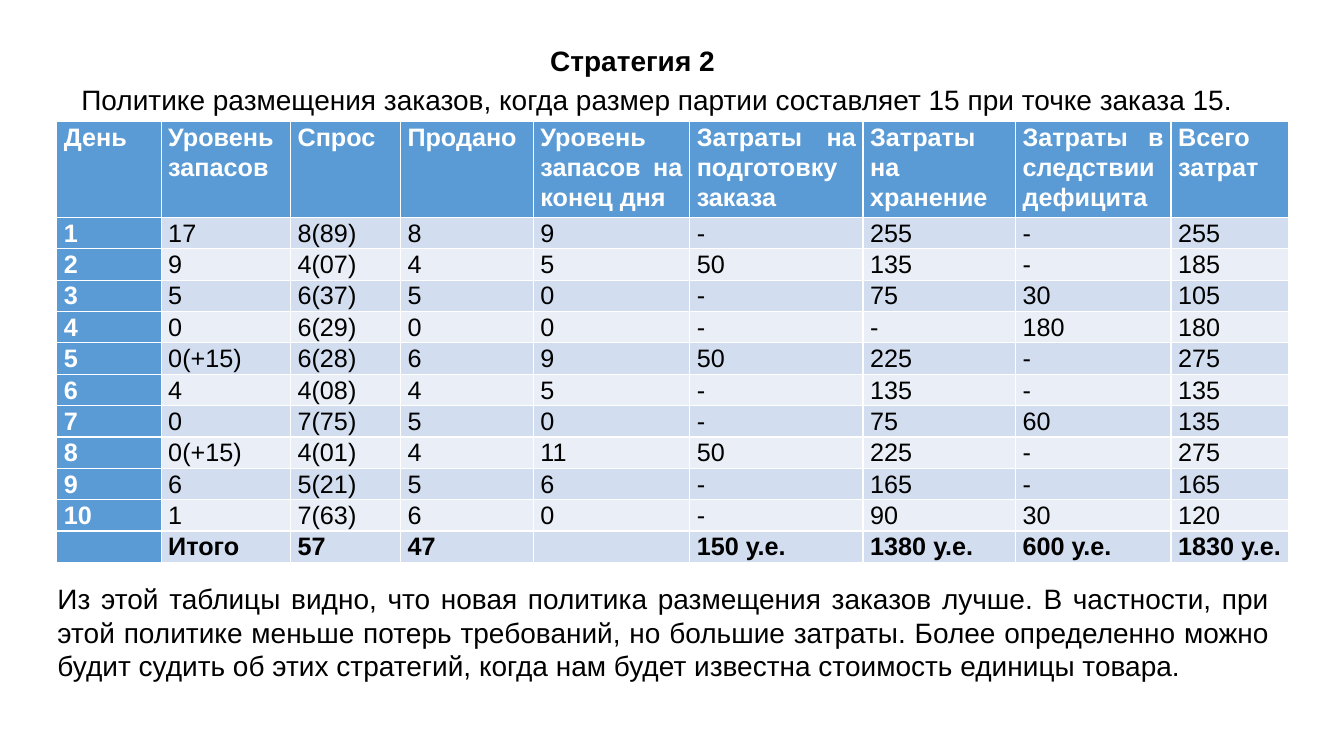
from pptx import Presentation
from pptx.dml.color import RGBColor
from pptx.enum.text import MSO_ANCHOR, PP_ALIGN
from pptx.util import Cm, Pt

COLORS = {"header": "5B9BD5", "odd": "D2DEEF", "even": "EAEFF7",
          "white": "FFFFFF", "black": "000000"}
HEADERS = ["День", "Уровень запасов", "Спрос", "Продано", "Уровень запасов на конец дня",
           "Затраты на подготовку заказа", "Затраты на хранение",
           "Затраты в следствии дефицита", "Всего затрат"]
DAYS = [
    ["1", "17", "8(89)", "8", "9", "-", "255", "-", "255"],
    ["2", "9", "4(07)", "4", "5", "50", "135", "-", "185"],
    ["3", "5", "6(37)", "5", "0", "-", "75", "30", "105"],
    ["4", "0", "6(29)", "0", "0", "-", "-", "180", "180"],
    ["5", "0(+15)", "6(28)", "6", "9", "50", "225", "-", "275"],
    ["6", "4", "4(08)", "4", "5", "-", "135", "-", "135"],
    ["7", "0", "7(75)", "5", "0", "-", "75", "60", "135"],
    ["8", "0(+15)", "4(01)", "4", "11", "50", "225", "-", "275"],
    ["9", "6", "5(21)", "5", "6", "-", "165", "-", "165"],
    ["10", "1", "7(63)", "6", "0", "-", "90", "30", "120"],
]
TOTALS = ["", "Итого", "57", "47", "", "150 у.е.", "1380 у.е.", "600 у.е.", "1830 у.е."]
COLUMN_WIDTHS = [2.63, 3.26, 2.77, 3.35, 3.94, 4.37, 3.84, 3.92, 2.96]
PARAGRAPHS = [
    (1.8, 1.96, 30.25, 1.11,
     "Политике размещения заказов, когда размер партии составляет 15 при точке заказа 15."),
    (1.2, 14.53, 31.04, 2.82,
     "Из этой таблицы видно, что новая политика размещения заказов лучше. В частности, при "
     "этой политике меньше потерь требований, но большие затраты. Более определенно можно "
     "будит судить об этих стратегий, когда нам будет известна стоимость единицы товара."),
]


def style_paragraph(p, size, color="black", bold=False, align=PP_ALIGN.JUSTIFY):
    p.alignment = align
    p.font.name = "Arial"
    p.font.size = Pt(size)
    p.font.bold = bold
    p.font.color.rgb = RGBColor.from_string(COLORS[color])


prs = Presentation()
prs.slide_width, prs.slide_height = Cm(33.87), Cm(19.05)
s = prs.slides.add_slide(prs.slide_layouts[5])

title = s.shapes.title
title.left, title.top, title.width, title.height = Cm(13.61), Cm(0.97), Cm(5.1), Cm(1.11)
tf = title.text_frame
tf.text = "Стратегия 2"
tf.word_wrap = False
tf.vertical_anchor = MSO_ANCHOR.TOP
style_paragraph(tf.paragraphs[0], 20, bold=True, align=PP_ALIGN.LEFT)

rows = [HEADERS, *DAYS, TOTALS]
table = s.shapes.add_table(len(rows), len(HEADERS), Cm(1.43), Cm(3.06),
                           Cm(sum(COLUMN_WIDTHS)), Cm(10.95)).table
table.first_col = True
for column, width in zip(table.columns, COLUMN_WIDTHS):
    column.width = Cm(width)

for i, values in enumerate(rows):
    table.rows[i].height = Cm(0.79 if i else 2.42)
    for j, value in enumerate(values):
        is_header = i == 0 or j == 0
        fill = "header" if is_header else "odd" if i % 2 else "even"
        cell = table.cell(i, j)
        cell.fill.solid()
        cell.fill.fore_color.rgb = RGBColor.from_string(COLORS[fill])
        cell.margin_left = cell.margin_right = Cm(0.18)
        cell.margin_top = cell.margin_bottom = 0
        cell.text = value
        p = cell.text_frame.paragraphs[0]
        p.line_spacing = 1.07
        style_paragraph(p, 18, "white" if is_header else "black",
                        is_header or values is TOTALS)

for left, top, width, height, text in PARAGRAPHS:
    tf = s.shapes.add_textbox(Cm(left), Cm(top), Cm(width), Cm(height)).text_frame
    tf.word_wrap = True
    tf.text = text
    style_paragraph(tf.paragraphs[0], 20)

prs.save("out.pptx")
